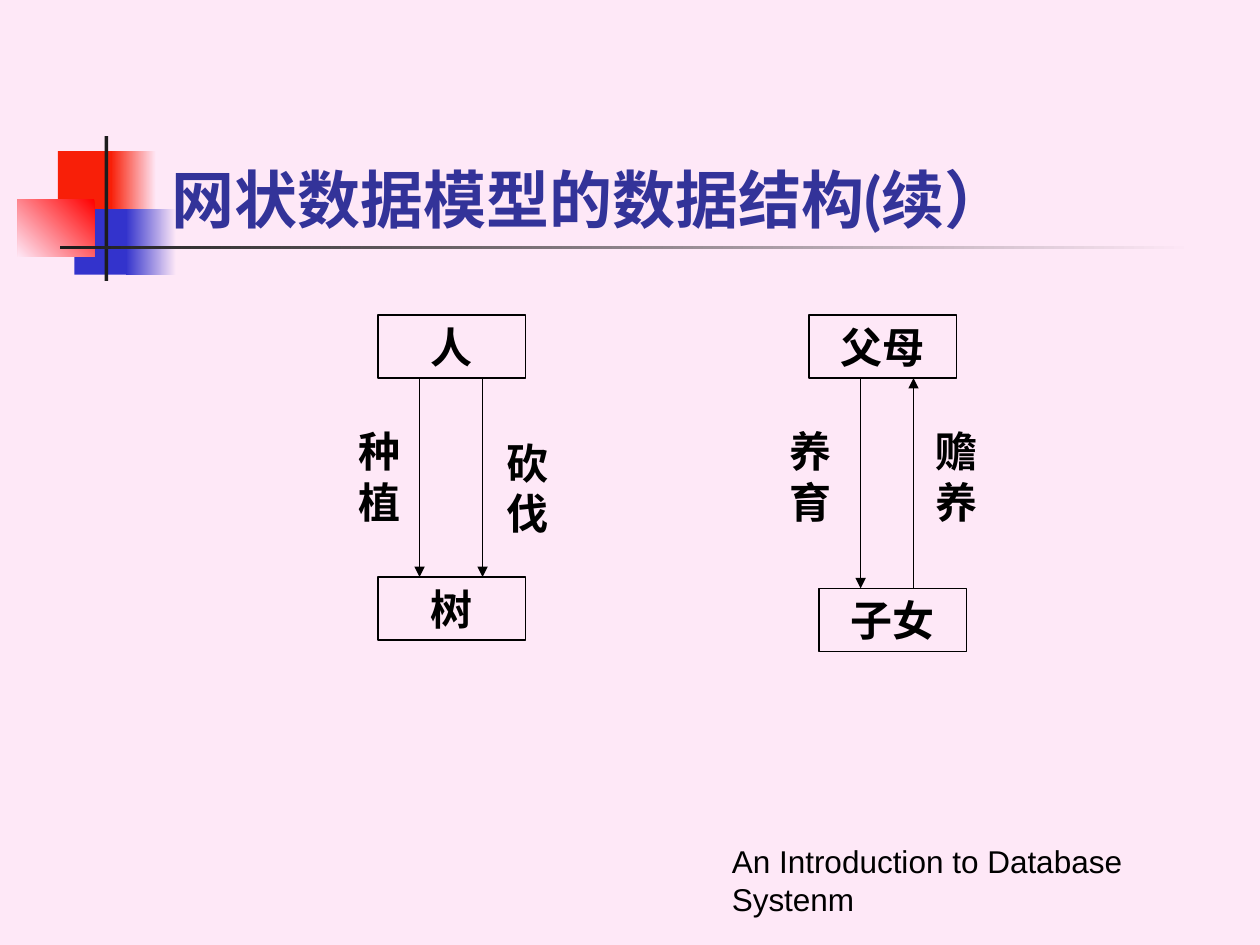
from lxml import etree
from pptx import Presentation
from pptx import util as u
from pptx.dml.color import RGBColor
from pptx.enum import shapes, text
from pptx.oxml.ns import qn

SCALE = 9144
PINK, RED, BLUE, DARK = "FEE8F7", "F81F08", "3333CC", "1C1C1C"
INK, NAVY = "000000", "333399"


def px(n):
    return u.Emu(n * SCALE)


def rgb(code):
    return RGBColor.from_string(code)


class Deck:
    face, size = "Times New Roman", 24

    def __init__(self, wide, high):
        self.prs = Presentation()
        self.prs.slide_width, self.prs.slide_height = px(wide), px(high)
        self.slide = self.prs.slides.add_slide(self.prs.slide_layouts[6])
        back = self.slide.background.fill
        back.solid()
        back.fore_color.rgb = rgb(PINK)

    def rect(self, *box):
        shape = self.slide.shapes.add_shape(
            shapes.MSO_SHAPE.RECTANGLE, *map(px, box))
        shape.shadow.inherit = False
        shape.line.fill.background()
        return shape

    def block(self, box, tint):
        fill = self.rect(*box).fill
        fill.solid()
        fill.fore_color.rgb = rgb(tint)

    def fade(self, box, start, end, angle=180):
        fill = self.rect(*box).fill
        fill.gradient()
        fill.gradient_angle = 360 - angle
        for stop, tint in zip(fill.gradient_stops, (start, end)):
            stop.color.rgb = rgb(tint)

    def words(self, shape, string, align=text.PP_ALIGN.CENTER,
              anchor=text.MSO_ANCHOR.TOP, face=None, size=None,
              tint=INK, bold=True):
        frame = shape.text_frame
        frame.word_wrap = True
        frame.vertical_anchor = anchor
        para = frame.paragraphs[0]
        para.alignment = align
        run = para.add_run()
        run.text = string
        font = run.font
        font.name = face or self.face
        font.size = u.Pt(size or self.size)
        font.bold = bold
        font.color.rgb = rgb(tint)

    def label(self, box, string, **look):
        self.words(self.slide.shapes.add_textbox(*map(px, box)), string, **look)

    def node(self, x, y, string):
        shape = self.rect(x, y, 117, 50)
        shape.fill.background()
        shape.line.color.rgb = rgb(INK)
        shape.line.width = u.Pt(0.75)
        self.words(shape, string)

    def arrow(self, x, start, end):
        line = self.slide.shapes.add_connector(
            shapes.MSO_CONNECTOR.STRAIGHT, px(x), px(start), px(x), px(end))
        line.line.color.rgb = rgb(INK)
        line.line.width = u.Pt(1)
        props = line.element.spPr
        etree.SubElement(props.find(qn("a:ln")), qn("a:tailEnd"),
                         type="triangle")
        etree.SubElement(props, qn("a:effectLst"))


def main():
    deck = Deck(1000, 750)
    low = {"align": text.PP_ALIGN.LEFT, "anchor": text.MSO_ANCHOR.BOTTOM}

    deck.block((46, 120, 48, 52), RED)
    deck.fade((88, 120, 36, 52), PINK, RED)
    deck.block((59, 166, 46, 52), BLUE)
    deck.fade((100, 166, 40, 52), PINK, BLUE)
    deck.fade((14, 158, 61, 46), "FF0000", PINK, 135)
    deck.block((83, 108, 3, 115), DARK)
    deck.fade((48, 195, 900, 3), PINK, DARK)

    deck.label((126, 67, 852, 125), "网状数据模型的数据结构(续）",
               face="Lato", size=36, tint=NAVY, **low)

    for x, y, string in ((642, 250, "父母"), (300, 250, "人"),
                         (650, 467, "子女"), (300, 458, "树")):
        deck.node(x, y, string)

    for x, start, end in ((333, 300, 458), (383, 300, 458),
                          (683, 300, 467), (725, 467, 300)):
        deck.arrow(x, start, end)

    for x, y, string in ((275, 333, "种植"), (392, 342, "砍伐"),
                         (617, 333, "养育"), (733, 333, "赡养")):
        deck.label((x, y, 50, 90), string)

    deck.label((571, 683, 404, 50), "An Introduction to Database Systenm",
               face="Arial", size=18, bold=False, **low)

    deck.prs.save("out.pptx")


if __name__ == "__main__":
    main()
